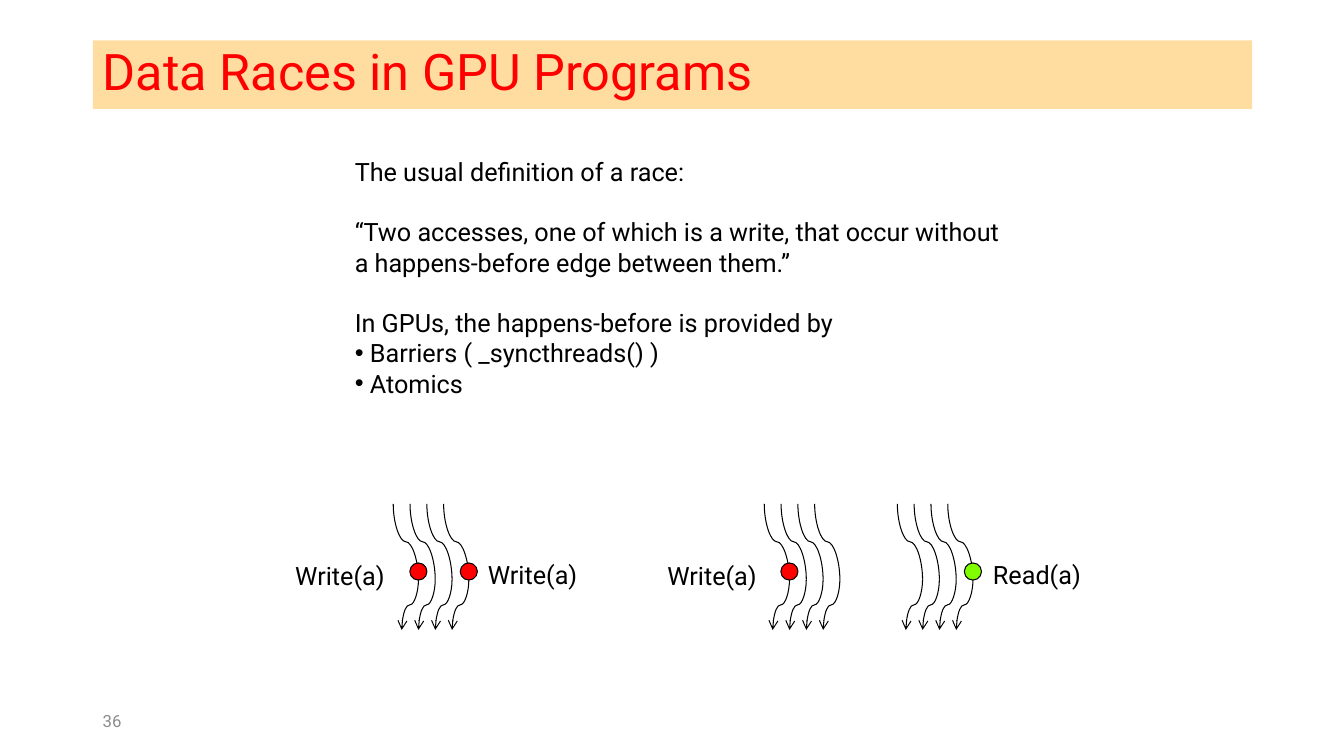
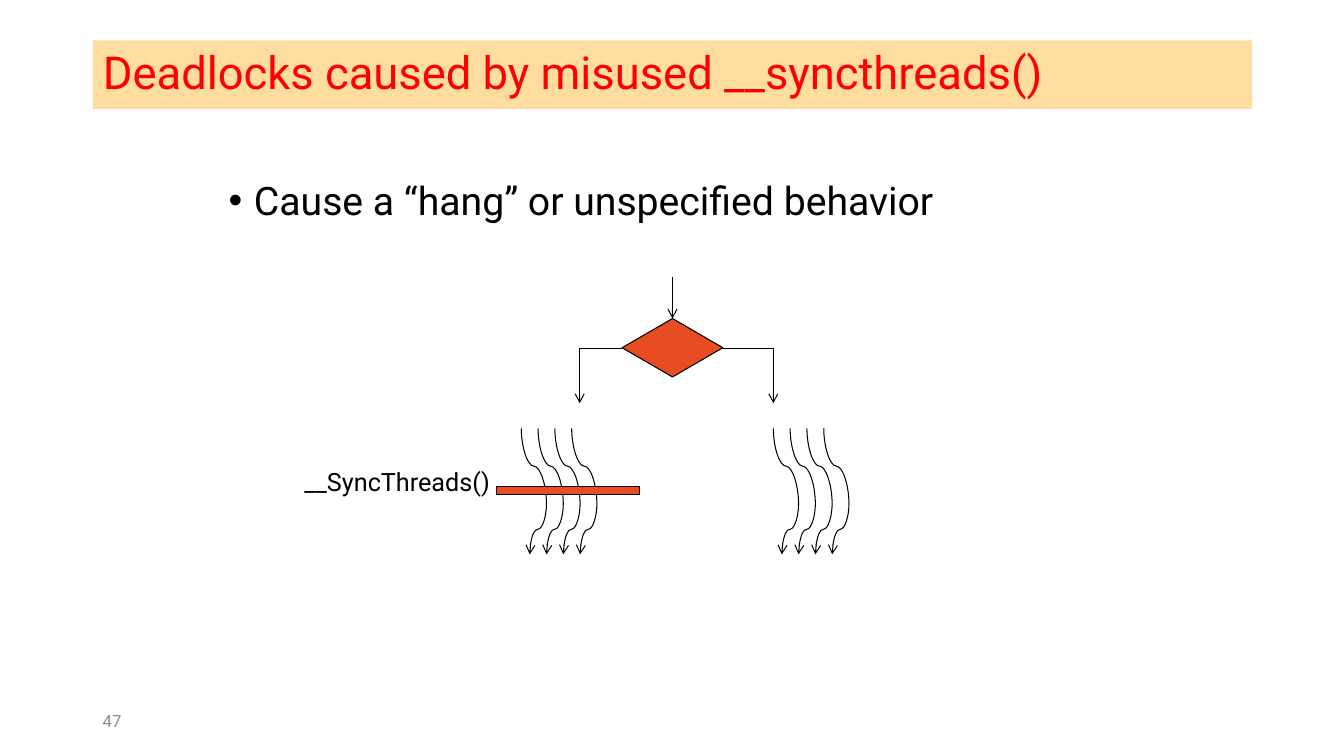
from lxml.etree import SubElement
from pptx import Presentation
from pptx.dml.color import RGBColor
from pptx.enum.shapes import MSO_CONNECTOR as Connector, MSO_SHAPE as Shape
from pptx.enum.text import MSO_ANCHOR as Anchor, MSO_AUTO_SIZE as AutoSize, PP_ALIGN as Align
from pptx.oxml.ns import qn
from pptx.util import Inches, Pt

FONT = "Roboto"
BLACK = RGBColor(0x00, 0x00, 0x00)
GRAY = RGBColor(0x8C, 0x8C, 0x8C)
RED = RGBColor(0xFF, 0x00, 0x00)
GREEN = RGBColor(0x80, 0xFF, 0x00)
ORANGE = RGBColor(0xE8, 0x4C, 0x22)
BAND = RGBColor(0xFF, 0xBD, 0x47)
BAND_OPACITY = 51

THREADS = 4
THREAD_GAP = 1 / 6
BEND_OFFSET = 0.25
BEND_DROP = 0.75
TAIL_DROP = 0.5
DOT_SIZE = 0.17
DOT_DROP = 0.67

RACE_TEXT = [
    ("The usual definition of a race:", 0, False),
    ("“Two accesses, one of which is a write, that occur without", 21.6, False),
    ("a happens-before edge between them.”", 0, False),
    ("In GPUs, the happens-before is provided by", 21.6, False),
    ("Barriers ( _syncthreads() )", 0, True),
    ("Atomics", 0, True),
]
RACE_TOP = 5
RACE_BUNDLES = [
    (3.9, [(0, RED), (3, RED)]),
    (7.58, [(0, RED)]),
    (8.9, [(3, GREEN)]),
]
RACE_LABELS = [
    ("Write(a)", 2.83, 5.51, 1.13),
    ("Write(a)", 4.74, 5.5, 1.13),
    ("Write(a)", 6.52, 5.51, 1.13),
    ("Read(a)", 9.75, 5.5, 1.07),
]
DEADLOCK_TOP = 4.25
DEADLOCK_BUNDLES = [5.17, 7.67]
BRANCHES = [(6.17, 5.75), (7.17, 7.67)]


def add_run(paragraph, text, size, color=BLACK):
    run = paragraph.add_run()
    run.text = text
    run.font.name = FONT
    run.font.size = Pt(size)
    run.font.color.rgb = color


def add_bullet(paragraph, indent):
    properties = paragraph._p.get_or_add_pPr()
    properties.set("marL", str(Inches(indent)))
    properties.set("indent", str(-Inches(indent)))
    SubElement(properties, qn("a:buFont"), typeface="Arial")
    SubElement(properties, qn("a:buChar"), char="•")


def add_box(slide, left, top, width, height):
    box = slide.shapes.add_textbox(Inches(left), Inches(top), Inches(width), Inches(height))
    box.text_frame.word_wrap = True
    return box.text_frame


def add_label(slide, text, left, top, width):
    frame = add_box(slide, left, top, width, 0.4)
    frame.word_wrap = False
    frame.auto_size = AutoSize.SHAPE_TO_FIT_TEXT
    add_run(frame.paragraphs[0], text, 18)


def add_filled(slide, kind, left, top, width, height, color):
    shape = slide.shapes.add_shape(kind, Inches(left), Inches(top), Inches(width), Inches(height))
    shape.shadow.inherit = False
    shape.fill.solid()
    shape.fill.fore_color.rgb = color
    shape.line.color.rgb = BLACK
    shape.line.width = Pt(0.75)
    return shape


def add_line(shapes, kind, start, end, arrow=True):
    points = [Inches(value) for value in (*start, *end)]
    connector = shapes.add_connector(kind, *points)
    connector.line.color.rgb = BLACK
    connector.line.width = Pt(0.75)
    if arrow:
        SubElement(connector.line._get_or_add_ln(), qn("a:tailEnd"), type="arrow")
    SubElement(connector._element.spPr, qn("a:effectLst"))
    return connector


def add_vertical_curve(shapes, start, end, arrow):
    (x1, y1), (x2, y2) = start, end
    center_x, center_y = (x1 + x2) / 2, (y1 + y2) / 2
    half_length = abs(y2 - y1) / 2
    downward = y2 > y1
    half_rise = (x2 - x1) / 2 if downward else (x1 - x2) / 2
    curve = add_line(
        shapes, Connector.CURVE,
        (center_x - half_length, center_y + half_rise),
        (center_x + half_length, center_y - half_rise),
        arrow,
    )
    curve._element.spPr.xfrm.set("rot", str((90 if downward else 270) * 60000))


def add_bundle(slide, left, top):
    group = slide.shapes.add_group_shape()
    for index in range(THREADS):
        x = left + index * THREAD_GAP
        bend = (x + BEND_OFFSET, top + BEND_DROP)
        tip = (bend[0] - THREAD_GAP, bend[1] + TAIL_DROP)
        add_vertical_curve(group.shapes, bend, tip, True)
        add_vertical_curve(group.shapes, bend, (x, top), False)


def add_titled_slide(presentation, text, size, number):
    slide = presentation.slides.add_slide(presentation.slide_layouts[5])
    title = slide.shapes.title
    title.left, title.top = Inches(0.92), Inches(0.4)
    title.width, title.height = Inches(11.5), Inches(0.68)
    title.fill.solid()
    title.fill.fore_color.rgb = BAND
    color = title._element.spPr.find(qn("a:solidFill"))[0]
    SubElement(color, qn("a:alpha"), val=str(BAND_OPACITY * 1000))
    frame = title.text_frame
    frame.auto_size = AutoSize.NONE
    frame.vertical_anchor = Anchor.MIDDLE
    paragraph = frame.paragraphs[0]
    paragraph.alignment = Align.LEFT
    paragraph.line_spacing = 0.9
    add_run(paragraph, text, size, RED)
    footer = add_box(slide, 0.92, 6.95, 3, 0.4)
    footer.vertical_anchor = Anchor.MIDDLE
    add_run(footer.paragraphs[0], number, 12, GRAY)
    return slide


def build_races(presentation):
    slide = add_titled_slide(presentation, "Data Races in GPU Programs", 36, "36")
    for left, dots in RACE_BUNDLES:
        add_bundle(slide, left, RACE_TOP)
        for thread, color in dots:
            x = left + BEND_OFFSET + thread * THREAD_GAP - DOT_SIZE / 2
            y = RACE_TOP + DOT_DROP - DOT_SIZE / 2
            add_filled(slide, Shape.OVAL, x, y, DOT_SIZE, DOT_SIZE, color)
    for label in RACE_LABELS:
        add_label(slide, *label)
    frame = add_box(slide, 3.42, 1.5, 6.92, 2.52)
    for index, (text, space, bulleted) in enumerate(RACE_TEXT):
        paragraph = frame.add_paragraph() if index else frame.paragraphs[0]
        if space:
            paragraph.space_before = Pt(space)
        if bulleted:
            add_bullet(paragraph, 0.15)
        add_run(paragraph, text, 18)


def build_deadlocks(presentation):
    slide = add_titled_slide(presentation, "Deadlocks caused by misused __syncthreads()", 32.4, "47")
    paragraph = add_box(slide, 2.17, 1.75, 9, 2.5).paragraphs[0]
    paragraph.line_spacing = 0.9
    add_bullet(paragraph, 0.25)
    add_run(paragraph, "Cause a “hang” or unspecified behavior", 28)
    for left in DEADLOCK_BUNDLES:
        add_bundle(slide, left, DEADLOCK_TOP)
    decision = add_filled(slide, Shape.DIAMOND, 6.17, 3.16, 1, 0.58, ORANGE)
    entry = add_line(slide.shapes, Connector.STRAIGHT, (6.67, 2.75), (6.67, 3.16))
    entry.end_connect(decision, 0)
    for start_x, end_x in BRANCHES:
        branch = add_line(slide.shapes, Connector.ELBOW, (start_x, 3.46), (end_x, 4))
        branch._element.spPr.find(qn("a:prstGeom")).set("prst", "bentConnector2")
    add_filled(slide, Shape.RECTANGLE, 4.92, 4.83, 1.42, 0.08, ORANGE)
    add_label(slide, "__SyncThreads()", 2.92, 4.58, 2.06)


def main():
    presentation = Presentation()
    presentation.slide_width = Inches(13.33)
    presentation.slide_height = Inches(7.5)
    build_races(presentation)
    build_deadlocks(presentation)
    presentation.save("out.pptx")


if __name__ == "__main__":
    main()
